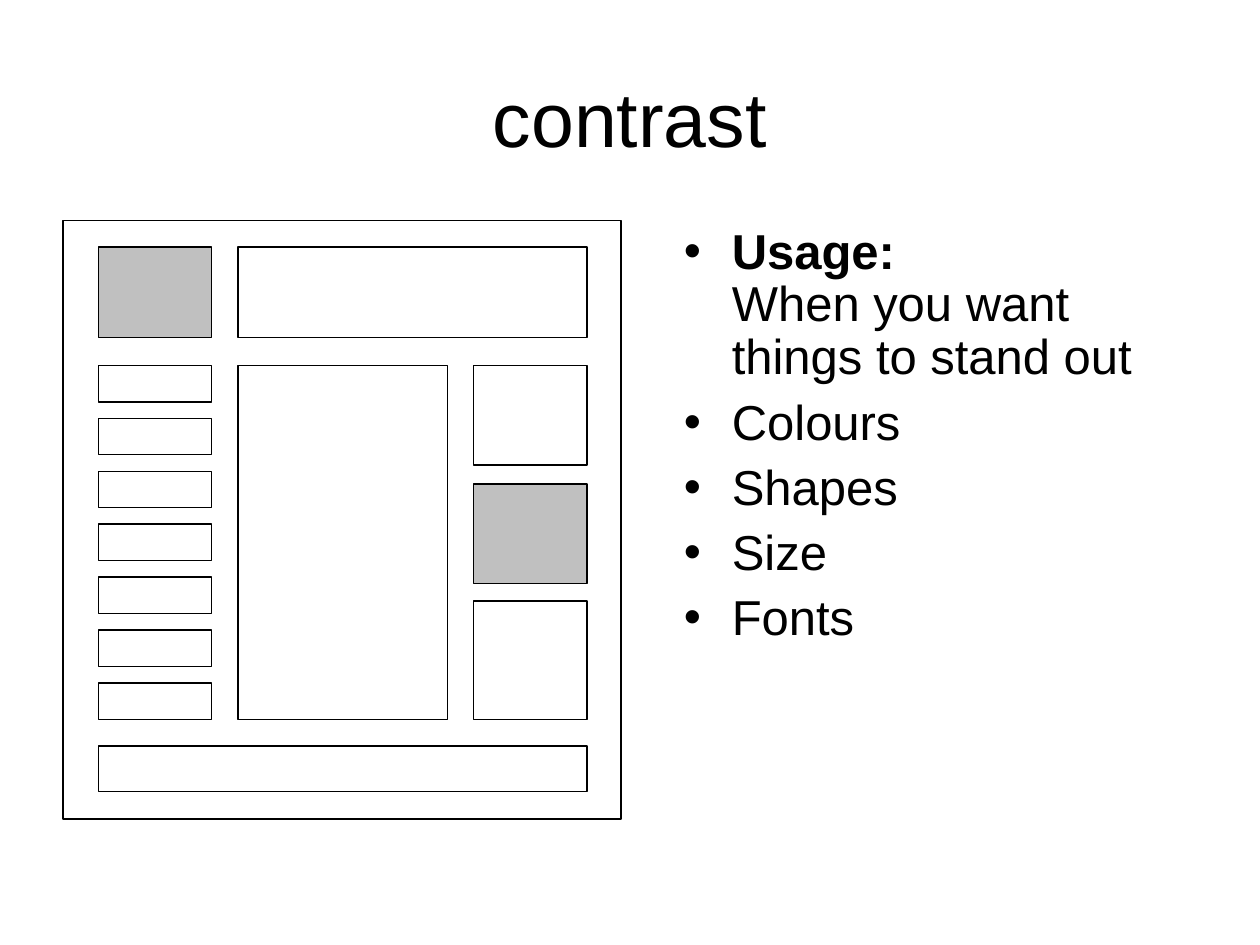
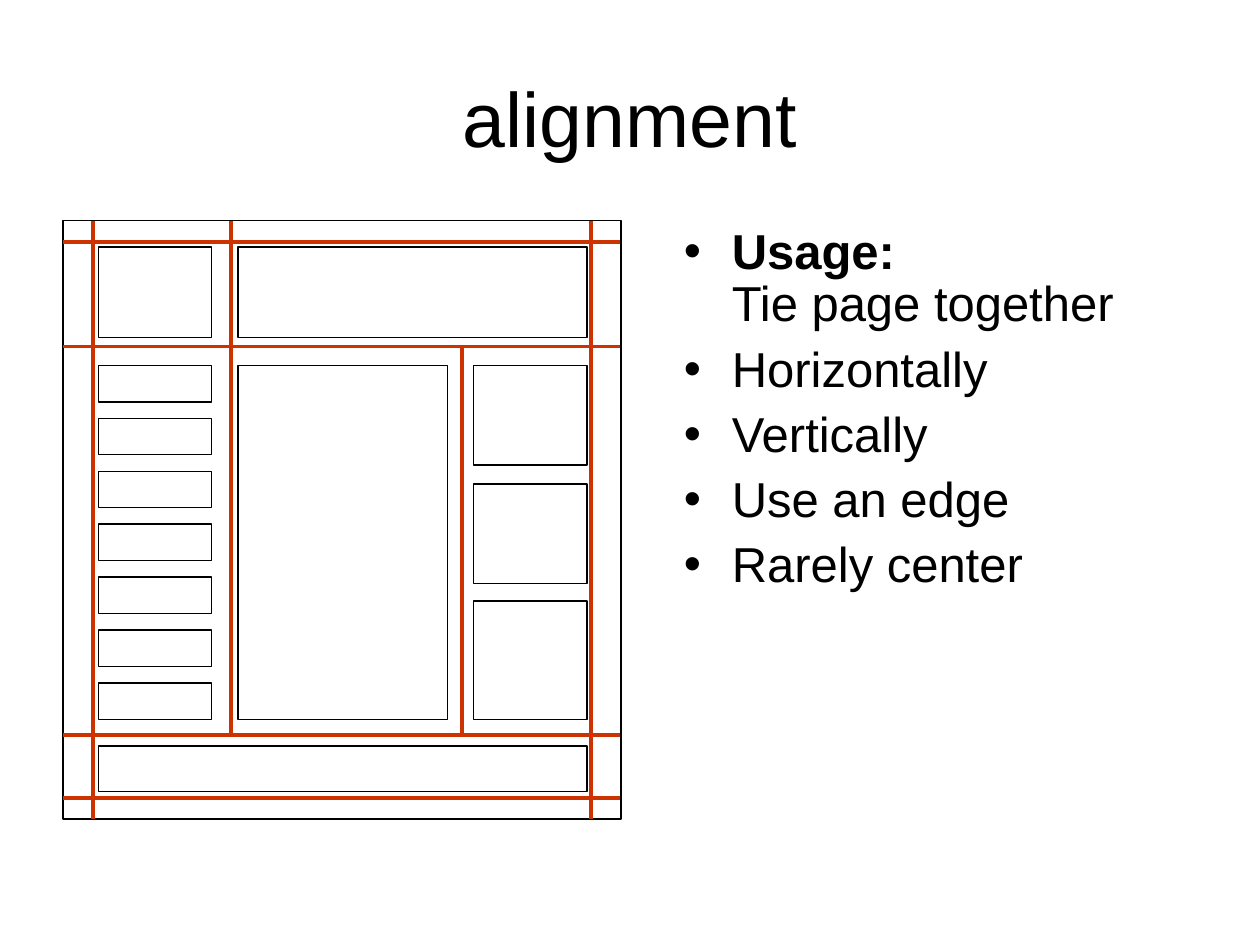
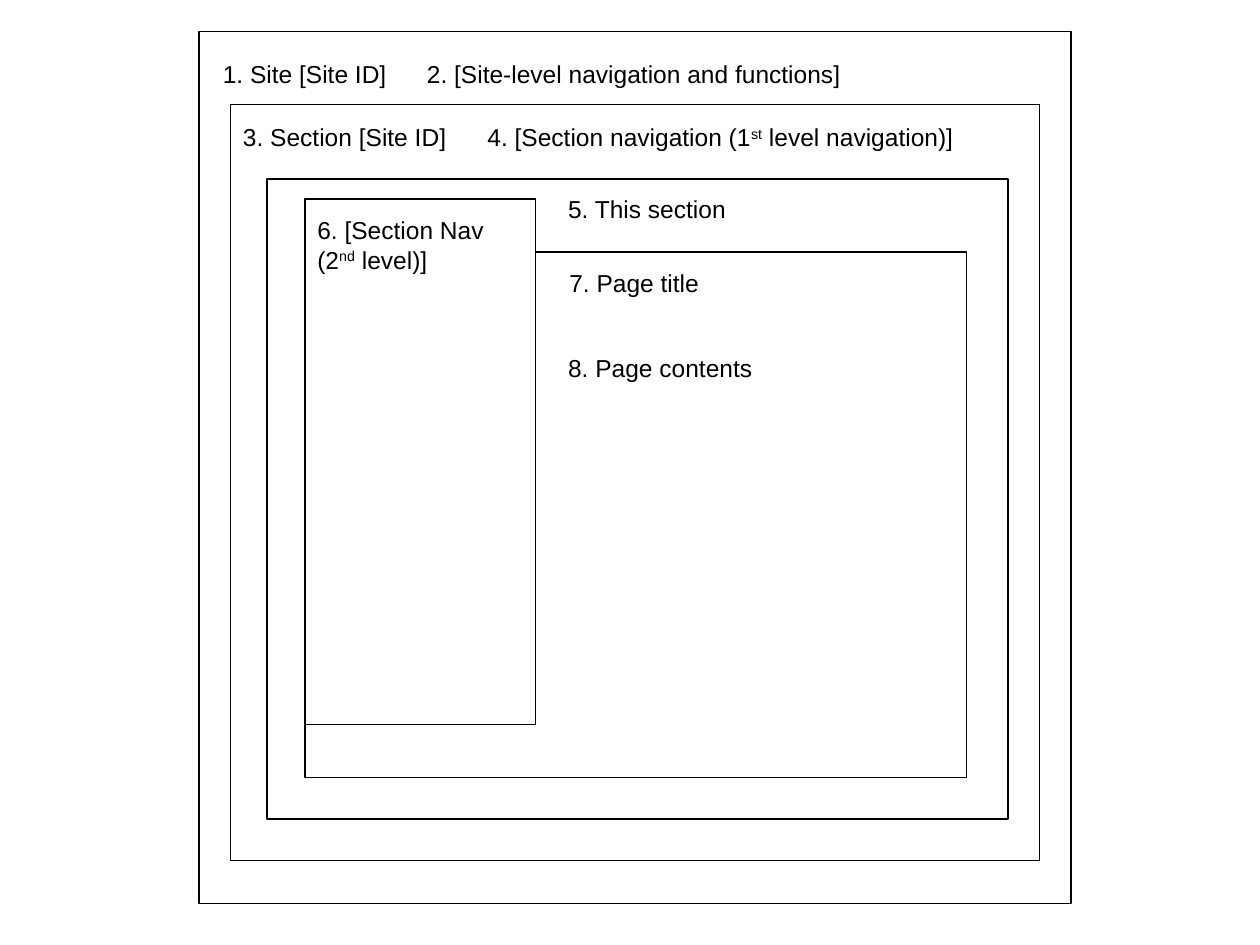
from pptx import Presentation
from pptx.dml.color import RGBColor
from pptx.enum.shapes import MSO_CONNECTOR as CONN, MSO_SHAPE as SHAPE
from pptx.enum.text import MSO_ANCHOR as ANCHOR, PP_ALIGN as ALIGN
from pptx.oxml.ns import qn
from pptx.util import Inches, Pt
from lxml.etree import SubElement

rgb = RGBColor.from_string
FONT, BLACK, WHITE, GREY, RED = "Arial", "000000", "FFFFFF", "C0C0C0", "CC3300"

prs = Presentation()
prs.slide_width, prs.slide_height = Inches(10), Inches(7.5)
blank = prs.slide_layouts[6]


def add_rect(shapes, box, fill=None):
    sp = shapes.add_shape(SHAPE.RECTANGLE, *map(Inches, box))
    sp.shadow.inherit = False
    if fill:
        sp.fill.solid()
        sp.fill.fore_color.rgb = rgb(fill)
    else:
        sp.fill.background()
    sp.line.color.rgb = rgb(BLACK)
    sp.line.width = Pt(0.75)


def add_text(s, box, paragraphs, size):
    """Each paragraph is a list of (text, style); style is "", "bold" or "super"."""
    tf = s.shapes.add_textbox(*map(Inches, box)).text_frame
    tf.word_wrap = True
    for i, runs in enumerate(paragraphs):
        p = tf.add_paragraph() if i else tf.paragraphs[0]
        for text, style in runs:
            if text == "\n":
                p.add_line_break()
                continue
            r = p.add_run()
            r.text = text
            r.font.name, r.font.size = FONT, Pt(size)
            r.font.color.rgb = rgb(BLACK)
            r.font.bold = style == "bold"
            if style == "super":
                r.font._element.set("baseline", "30000")
    return tf


# Page wireframe: columns, rows and blocks
page = (0.5, 1.75, 4.43, 4.75)
left, middle, right, small = 0.78, 1.89, 3.76, 0.9
top, body, foot = 1.96, 2.9, 5.92
logo = (left, top, small, 0.72)
feature = (right, 3.84, small, 0.79)
blocks = [page, logo, feature,
          (middle, top, 2.77, 0.72),
          (middle, body, 1.66, 2.81),
          (right, body, small, 0.79),
          (right, 4.77, small, 0.94),
          (left, foot, 3.88, 0.36)]
blocks += [(left, body + 0.42 * i, small, 0.29) for i in range(7)]

# Guide lines: x1, y1, x2, y2
guides = [(0.5, y, 4.92, y) for y in (1.92, 2.75, 5.83, 6.33)]
guides += [(x, 1.75, x, 6.5) for x in (0.74, 4.69)]
guides += [(1.83, 1.75, 1.83, 5.83), (3.67, 2.75, 3.67, 5.83)]

# Slides 1 and 2: title, bullets, wireframe
topics = [
    ("contrast", "When you want things to stand out",
     ["Colours", "Shapes", "Size", "Fonts"], None, [logo, feature], []),
    ("alignment", "Tie page together",
     ["Horizontally", "Vertically", "Use an edge", "Rarely center"], WHITE, [], guides),
]
for title, usage, points, fill, shaded, lines in topics:
    s = prs.slides.add_slide(blank)
    tf = add_text(s, (0.5, 0.3, 9, 1.25), [[(title, "")]], 44)
    tf.vertical_anchor = ANCHOR.MIDDLE
    tf.paragraphs[0].alignment = ALIGN.CENTER

    first = [("Usage:", "bold"), ("\n", ""), (usage, "")]
    tf = add_text(s, (5.33, 1.75, 4.25, 4.95),
                  [first] + [[(point, "")] for point in points], 28)
    for i, p in enumerate(tf.paragraphs):
        pPr = p._p.get_or_add_pPr()
        pPr.set("marL", str(Inches(0.38)))
        pPr.set("indent", str(-Inches(0.38)))
        SubElement(pPr, qn("a:buFont"), typeface=FONT)
        SubElement(pPr, qn("a:buChar"), char="•")
        p.line_spacing = 0.9
        if i:
            p.space_before = Pt(7)

    wireframe = s.shapes.add_group_shape().shapes
    for block in blocks:
        add_rect(wireframe, block, GREY if block in shaded else fill)
    for line in lines:
        c = wireframe.add_connector(CONN.STRAIGHT, *map(Inches, line))
        c.line.color.rgb = rgb(RED)
        c.line.width = Pt(2.25)
        SubElement(c._element.spPr, qn("a:effectLst"))

# Slide 3: nested page areas
s = prs.slides.add_slide(blank)
areas = [((1.58, 0.25, 6.92, 6.92), None),
         ((1.83, 0.83, 6.42, 6), None),
         ((2.12, 1.42, 5.88, 5.08), None),
         ((2.42, 2, 5.25, 4.17), None),
         ((2.42, 1.58, 1.83, 4.17), WHITE)]
for box, fill in areas:
    add_rect(s.shapes, box, fill)

# Labels: box, runs, tab stop between two parts
labels = [
    ((1.67, 0.42, 6.92, 0.34),
     [("1. Site [Site ID]\t2. [Site-level navigation and functions]", "")], 1.62),
    ((1.83, 0.92, 6.42, 0.34),
     [("3. Section [Site ID]\t4. [Section navigation (1", ""), ("st", "super"),
      (" level navigation)]", "")], 1.94),
    ((4.41, 1.49, 3.58, 0.34), [("5. This section", "")], None),
    ((2.42, 1.66, 1.58, 0.57),
     [("6. [Section Nav (2", ""), ("nd", "super"), (" level)]", "")], None),
    ((4.42, 2.08, 3.58, 0.34), [("7. Page title", "")], None),
    ((4.41, 2.75, 3.58, 0.34), [("8. Page contents", "")], None),
]
for box, runs, stop in labels:
    tf = add_text(s, box, [runs], 14)
    if stop:
        tabs = SubElement(tf.paragraphs[0]._p.get_or_add_pPr(), qn("a:tabLst"))
        SubElement(tabs, qn("a:tab"), pos=str(Inches(stop)), algn="l")

prs.save("out.pptx")
